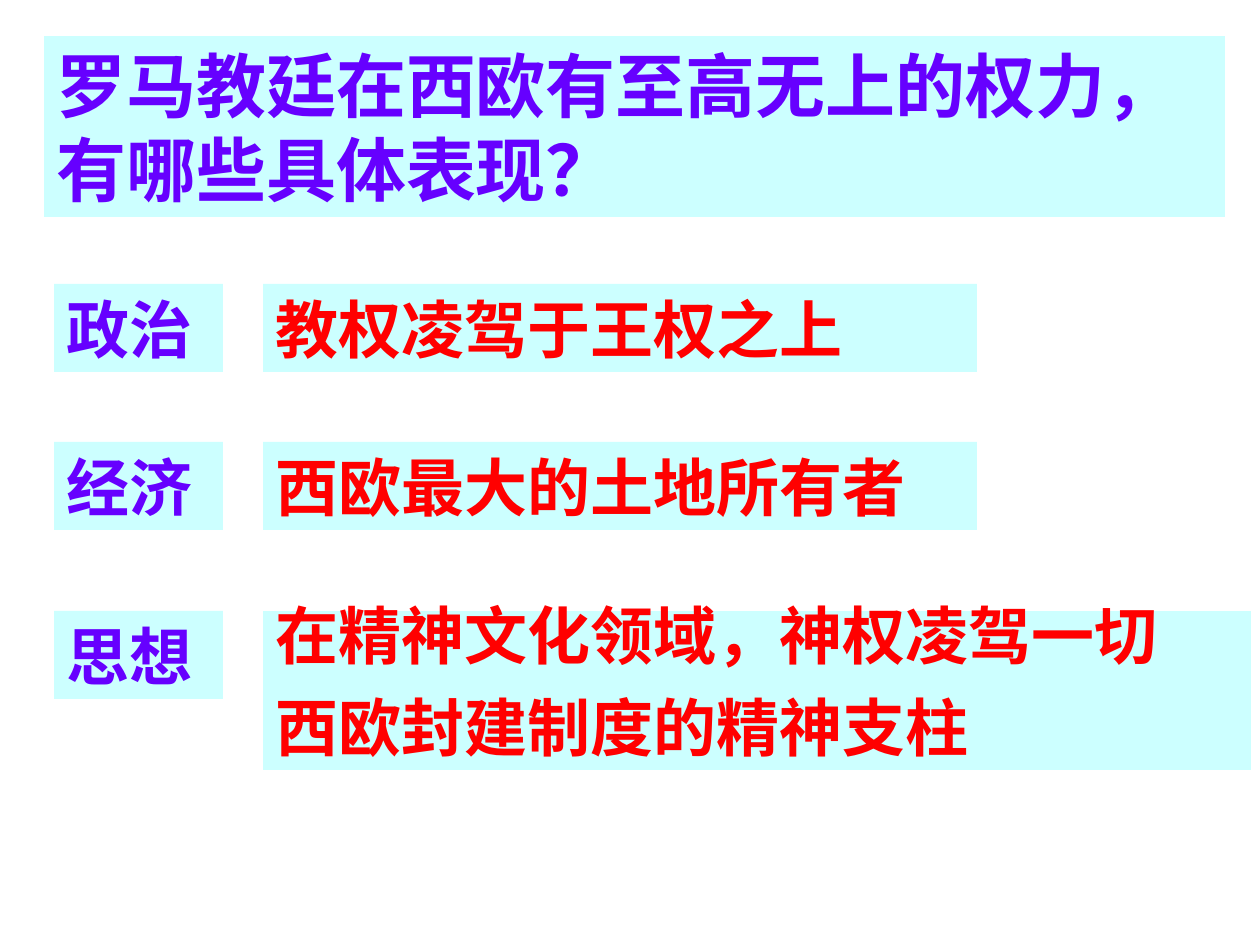
from dataclasses import dataclass

from pptx import Presentation
from pptx.dml.color import RGBColor
from pptx.enum.shapes import MSO_SHAPE as Shape
from pptx.enum.text import MSO_ANCHOR as Anchor, MSO_AUTO_SIZE as AutoSize, PP_ALIGN as Align
from pptx.util import Emu, Pt

EMU_PER_PX = 914400 / 126


def px(n):
    return Emu(round(n * EMU_PER_PX))


@dataclass(frozen=True)
class Theme:
    font: str = "Arial"
    panel: str = "CCFFFF"
    topic: str = "6600FF"
    answer: str = "FF0000"
    title_size: int = 40
    body_size: int = 36
    space_ratio: float = 0.625  # space before a paragraph, as a share of its type size


class Board:
    """Holds the theme and the current slide."""

    def __init__(self, slide, theme):
        self.slide, self.theme = slide, theme

    def panel(self, x, y, w, h, lines, color, size, spacing=None):
        """Filled box with one bold paragraph for each line."""
        sp = self.slide.shapes.add_shape(Shape.RECTANGLE, px(x), px(y), px(w), px(h))
        sp.shadow.inherit = False
        sp.fill.solid()
        sp.fill.fore_color.rgb = RGBColor.from_string(self.theme.panel)
        sp.line.fill.background()

        tf = sp.text_frame
        frame_format = {"word_wrap": True, "vertical_anchor": Anchor.TOP,
                        "auto_size": AutoSize.SHAPE_TO_FIT_TEXT}
        para_format = {"alignment": Align.LEFT, "line_spacing": spacing,
                       "space_before": Pt(size * self.theme.space_ratio)}
        font_format = {"name": self.theme.font, "size": Pt(size), "bold": True}
        self.apply(tf, frame_format)
        for i, line in enumerate(lines):
            p = tf.add_paragraph() if i else tf.paragraphs[0]
            self.apply(p, para_format)
            r = p.add_run()
            r.text = line
            self.apply(r.font, font_format)
            r.font.color.rgb = RGBColor.from_string(color)

    @staticmethod
    def apply(target, values):
        for name, value in values.items():
            setattr(target, name, value)

    def title(self, x, y, w, h, text):
        self.panel(x, y, w, h, [text], self.theme.topic, self.theme.title_size)

    def topic(self, x, y, w, h, text):
        self.panel(x, y, w, h, [text], self.theme.topic, self.theme.body_size)

    def answer(self, x, y, w, h, lines, spacing):
        self.panel(x, y, w, h, lines, self.theme.answer, self.theme.body_size, spacing)


def main():
    prs = Presentation()
    prs.slide_width, prs.slide_height = px(1260), px(945)
    s = prs.slides.add_slide(prs.slide_layouts[6])
    board = Board(s, Theme())

    # Question
    board.title(44, 36, 1181, 181, "罗马教廷在西欧有至高无上的权力，有哪些具体表现？")

    # Topics with their answers: top, topic, answer width, answer height, spacing, lines
    topic_x, topic_w, answer_x, row_h = 54, 169, 263, 88
    rows = [
        (284, "政治", 714, row_h, None, ["教权凌驾于王权之上"]),
        (442, "经济", 714, row_h, None, ["西欧最大的土地所有者"]),
        (611, "思想", 988, 159, 0.7, ["在精神文化领域，神权凌驾一切", "西欧封建制度的精神支柱"]),
    ]
    for y, topic, w, h, spacing, lines in rows:
        board.topic(topic_x, y, topic_w, row_h, topic)
        board.answer(answer_x, y, w, h, lines, spacing)

    prs.save("out.pptx")


if __name__ == "__main__":
    main()
